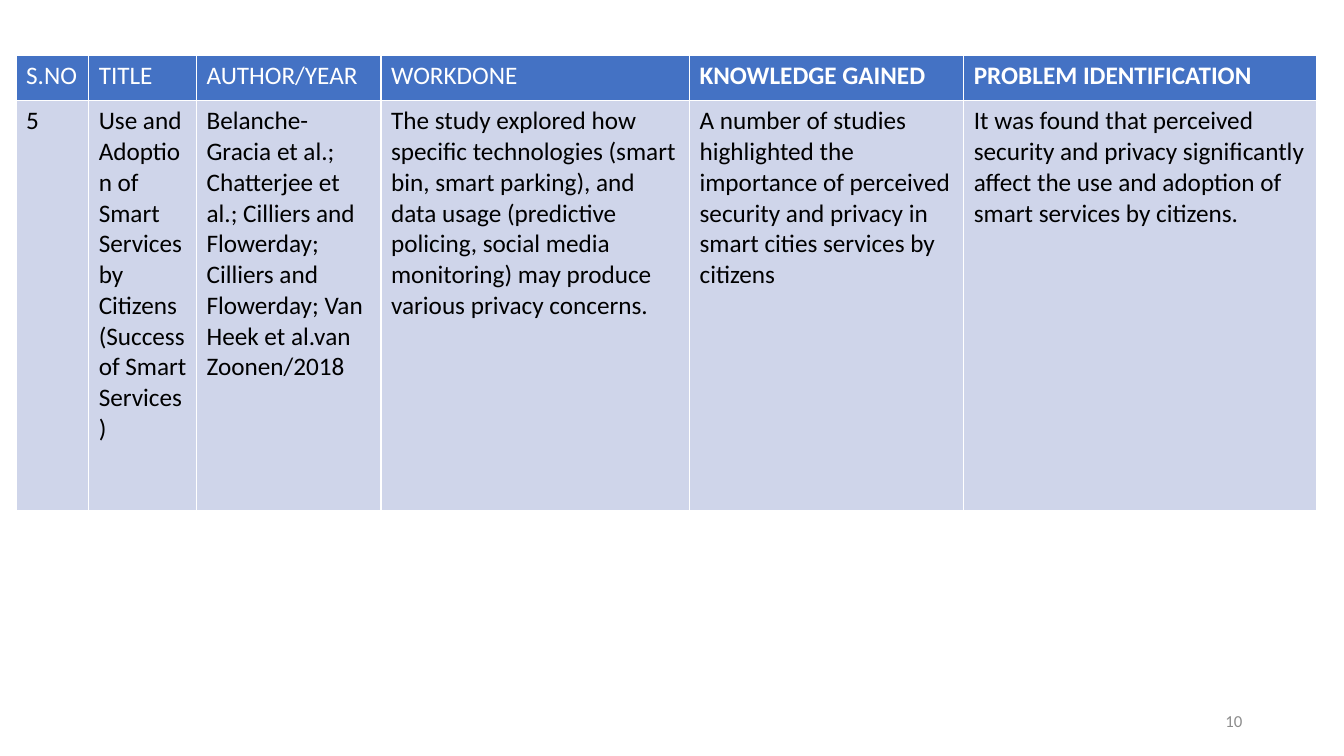
import pptx
import pptx.dml.color
import pptx.enum.text
import pptx.oxml
import pptx.oxml.ns
import pptx.util

RGBColor = pptx.dml.color.RGBColor
WHITE = RGBColor(0xFF, 0xFF, 0xFF)
BLACK = RGBColor(0x00, 0x00, 0x00)
BLUE = RGBColor(0x44, 0x72, 0xC4)
PALE_BLUE = RGBColor(0xCF, 0xD5, 0xEA)
GREY = RGBColor(0x8C, 0x8C, 0x8C)

EMU_PER_PX = 9144  # 100 px to the inch

COLUMN_WIDTHS = [72, 107, 183, 306, 272, 350]
ROW_HEIGHTS = [45, 407]
HEADERS = ["S.NO", "TITLE", "AUTHOR/YEAR", "WORKDONE",
           "KNOWLEDGE GAINED", "PROBLEM IDENTIFICATION"]
BOLD_HEADERS = HEADERS[4:]
STUDY = [
    "5",
    "Use and Adoption of Smart Services by Citizens (Success of Smart Services)",
    "Belanche-Gracia et al.; Chatterjee et al.; Cilliers and Flowerday; "
    "Cilliers and Flowerday; Van Heek et al.van Zoonen/2018",
    "The study explored how specific technologies (smart bin, smart parking), "
    "and data usage (predictive policing, social media monitoring) may produce "
    "various privacy concerns.",
    "A number of studies highlighted the importance of perceived security and "
    "privacy in smart cities services by citizens",
    "It was found that perceived security and privacy significantly affect the "
    "use and adoption of smart services by citizens.",
]


def px(n):
    return pptx.util.Emu(n * EMU_PER_PX)


class SlideBuilder:
    font = "Calibri"

    def __init__(self, s):
        self.s = s

    def run(self, p, text, size, color, bold=False):
        r = p.add_run()
        r.text = text
        r.font.name = self.font
        r.font.size = pptx.util.Pt(size)
        r.font.bold = bold
        r.font.color.rgb = color

    def text(self, x, y, w, h, text, size, color, align):
        tf = self.s.shapes.add_textbox(px(x), px(y), px(w), px(h)).text_frame
        tf.word_wrap = True
        tf.vertical_anchor = pptx.enum.text.MSO_ANCHOR.MIDDLE
        p = tf.paragraphs[0]
        p.alignment = align
        self.run(p, text, size, color)

    def borders(self, cell, color, width):
        """Line all four sides; the lines must precede the cell's fill."""
        tc_pr = cell._tc.get_or_add_tcPr()
        for i, side in enumerate(("lnL", "lnR", "lnT", "lnB")):
            tc_pr.insert(i, pptx.oxml.parse_xml(
                f'<a:{side} {pptx.oxml.ns.nsdecls("a")} w="{pptx.util.Pt(width)}">'
                f'<a:solidFill><a:srgbClr val="{color}"/></a:solidFill></a:{side}>'))

    def cell(self, cell, text, fill, color, bold):
        cell.fill.solid()
        cell.fill.fore_color.rgb = fill
        self.borders(cell, WHITE, 1)
        self.run(cell.text_frame.paragraphs[0], text, 18, color, bold)

    def table(self, x, y, widths, heights, rows):
        table = self.s.shapes.add_table(
            len(heights), len(widths), px(x), px(y),
            px(sum(widths)), px(sum(heights))).table
        table.horz_banding = False
        for column, w in zip(table.columns, widths):
            column.width = px(w)
        for row, h in zip(table.rows, heights):
            row.height = px(h)
        for i, texts in enumerate(rows):
            fill, color = (PALE_BLUE, BLACK) if i else (BLUE, WHITE)
            for j, text in enumerate(texts):
                self.cell(table.cell(i, j), text, fill, color,
                          text in BOLD_HEADERS)


def main():
    prs = pptx.Presentation()
    prs.slide_width, prs.slide_height = px(1333), px(750)
    slide = SlideBuilder(prs.slides.add_slide(prs.slide_layouts[6]))
    slide.text(942, 695, 300, 40, "10", 12, GREY,
               pptx.enum.text.PP_ALIGN.RIGHT)
    slide.table(16, 55, COLUMN_WIDTHS, ROW_HEIGHTS, [HEADERS, STUDY])
    prs.save("out.pptx")


if __name__ == "__main__":
    main()
